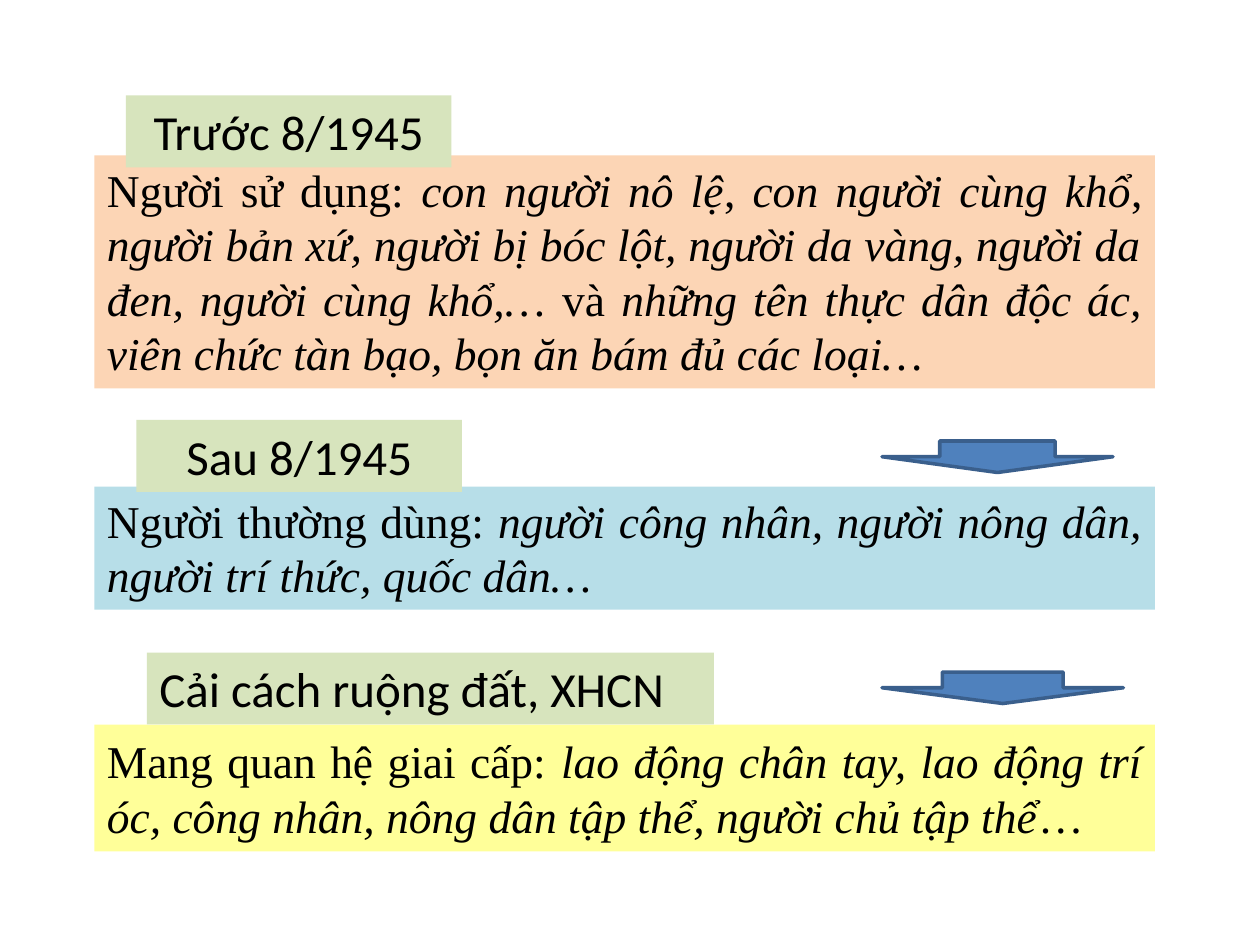
from pptx import Presentation
from pptx.dml.color import RGBColor
from pptx.enum.shapes import MSO_SHAPE as SHAPE
from pptx.enum.text import MSO_ANCHOR as ANCHOR, PP_ALIGN as ALIGN
from pptx.util import Inches, Pt

COLS, ROWS = 120, 90
WIDTH, HEIGHT = Inches(10), Inches(7.5)

STAGES = [
    dict(
        label="Trước 8/1945", label_box=(12, 9.1, 31, 6.85), label_align=ALIGN.CENTER,
        body_box=(9, 14.8, 101, 22.2), fill="FCD5B5", anchor=ANCHOR.TOP, arrow_box=None,
        runs=[
            ("Người sử dụng: ", False), ("con người nô lệ", True), (", ", False),
            ("con người cùng khổ", True), (", ", False),
            ("người bản xứ, người bị bóc lột, người da vàng, người da đen, "
             "người cùng khổ,… ", True),
            ("và ", False),
            ("những tên thực dân độc ác, viên chức tàn bạo, "
             "bọn ăn bám đủ các loại…", True),
        ],
    ),
    dict(
        label="Sau 8/1945", label_box=(13, 40, 31, 6.85), label_align=ALIGN.CENTER,
        body_box=(9, 46.35, 101, 11.7), fill="B7DEE8", anchor=ANCHOR.TOP,
        arrow_box=(84, 42, 22, 3),
        runs=[
            ("Người thường dùng: ", False),
            ("người công nhân, người nông dân, người trí thức, quốc dân…", True),
        ],
    ),
    dict(
        label="Cải cách ruộng đất, XHCN", label_box=(14, 62.15, 54, 6.85),
        label_align=ALIGN.LEFT,
        body_box=(9, 69, 101, 12.1), fill="FFFF99", anchor=ANCHOR.MIDDLE,
        arrow_box=(84, 64, 23, 3),
        runs=[
            ("Mang quan hệ giai cấp: ", False),
            ("lao động chân tay, lao động trí óc, công nhân, nông dân tập thể, "
             "người chủ tập thể", True),
            ("…", False),
        ],
    ),
]


def rgb(value):
    """Turn a hex string into a colour."""
    return RGBColor.from_string(value)


def add_block(s, kind, box, fill):
    """Add a filled shape without outline or shadow at a grid box."""
    x, y, w, h = box
    sp = s.shapes.add_shape(
        kind, int(WIDTH * x / COLS), int(HEIGHT * y / ROWS),
        int(WIDTH * w / COLS), int(HEIGHT * h / ROWS))
    sp.shadow.inherit = False
    sp.fill.solid()
    sp.fill.fore_color.rgb = rgb(fill)
    sp.line.fill.background()
    return sp


def add_panel(s, box, fill, runs, font, size, align, anchor=ANCHOR.TOP):
    """Add a coloured rectangle holding one paragraph of runs."""
    tf = add_block(s, SHAPE.RECTANGLE, box, fill).text_frame
    tf.word_wrap = True
    tf.vertical_anchor = anchor
    p = tf.paragraphs[0]
    p.alignment = align
    for text, italic in runs:
        r = p.add_run()
        r.text = text
        r.font.name = font
        r.font.size = Pt(size)
        r.font.italic = italic
        r.font.color.rgb = rgb("000000")


def add_arrow(s, box):
    """Add a blue down arrow."""
    sp = add_block(s, SHAPE.DOWN_ARROW, box, "4F81BD")
    sp.line.color.rgb = rgb("3A5F8C")
    sp.line.width = Pt(2)


def add_stage(s, stage):
    """Add one period: its wording, its label and the arrow leading to it."""
    add_panel(s, stage["body_box"], stage["fill"], stage["runs"],
              "Times New Roman", 26, ALIGN.JUSTIFY, stage["anchor"])
    if stage["arrow_box"]:
        add_arrow(s, stage["arrow_box"])
    add_panel(s, stage["label_box"], "D7E4BD", [(stage["label"], False)],
              "Calibri", 28, stage["label_align"])


def main():
    """Build and save the slide."""
    prs = Presentation()
    prs.slide_width, prs.slide_height = WIDTH, HEIGHT
    s = prs.slides.add_slide(prs.slide_layouts[6])
    for stage in STAGES:
        add_stage(s, stage)
    prs.save("out.pptx")


if __name__ == "__main__":
    main()
